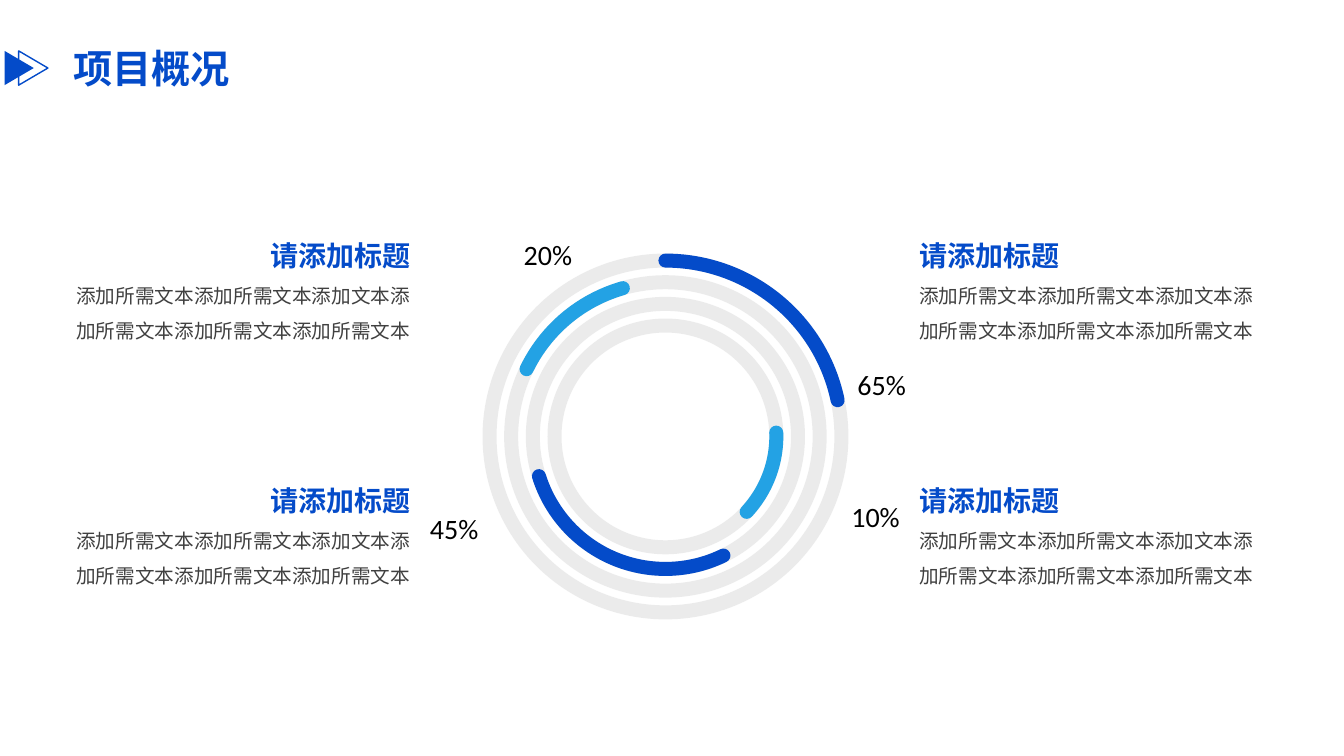
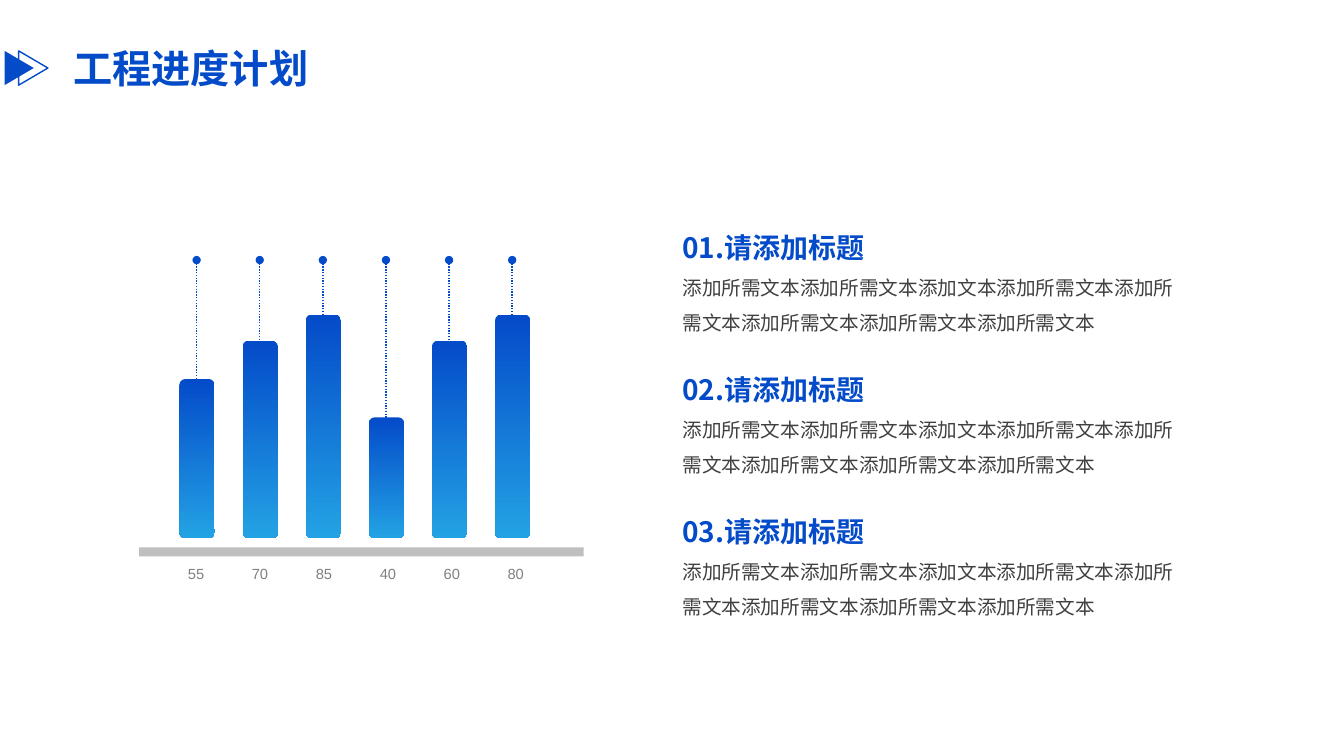
"""Build the project overview and schedule slides."""
from lxml.etree import SubElement
from pptx import Presentation
from pptx.dml.color import RGBColor
from pptx.enum.dml import MSO_LINE
from pptx.enum.shapes import MSO_CONNECTOR, MSO_SHAPE
from pptx.enum.text import MSO_AUTO_SIZE as AUTO, PP_ALIGN as AL
from pptx.oxml.ns import qn
from pptx.util import Inches, Pt

BLUE = RGBColor(0x04, 0x4B, 0xC9)
SKY = RGBColor(0x23, 0xA2, 0xE4)
RING = RGBColor(0xD9, 0xD9, 0xD9)
BASE = RGBColor(0xBF, 0xBF, 0xBF)
BODY = RGBColor(0x40, 0x40, 0x40)
GREY = RGBColor(0x80, 0x80, 0x80)
BLACK = RGBColor(0, 0, 0)

CJK = "Noto Sans CJK SC"
TITLE = {"size": Pt(28), "name": CJK, "bold": True, "color": BLUE}
HEAD = {**TITLE, "size": Pt(20)}
TEXT = {"size": Pt(14), "name": CJK, "bold": False, "color": BODY}
PERCENT = {"size": Pt(20), "name": "Calibri", "color": BLACK}
TICK = {"size": Pt(10.5), "name": "Arial", "color": GREY}

HEADING = "请添加标题"
PHRASE = "添加所需文本"
LEAD = PHRASE * 2 + "添加文本"


def inches(*values):
    return [Inches(v) for v in values]


def set_font(r, fmt):
    for key, value in fmt.items():
        if key == "color":
            r.font.color.rgb = value
        else:
            setattr(r.font, key, value)
    if fmt["name"] == CJK:
        SubElement(r.font._element, qn("a:ea"), typeface=CJK)


def add_text(s, box, paras, align=AL.LEFT, spacing=None, wrap=True, grow=True, margin=None):
    tf = s.shapes.add_textbox(*inches(*box)).text_frame
    tf.word_wrap = wrap
    tf.auto_size = AUTO.SHAPE_TO_FIT_TEXT if grow else AUTO.NONE
    if margin is not None:
        for side in ("left", "top", "right", "bottom"):
            setattr(tf, f"margin_{side}", margin)
    for i, (text, fmt) in enumerate(paras):
        p = tf.add_paragraph() if i else tf.paragraphs[0]
        p.alignment = align
        if spacing:
            p.line_spacing = spacing
        r = p.add_run()
        r.text = text
        set_font(r, fmt)


def add_shape(shapes, kind, box, fill=None, line=None, width=1):
    sp = shapes.add_shape(kind, *inches(*box))
    sp.shadow.inherit = False
    if fill is None:
        sp.fill.background()
    else:
        sp.fill.solid()
        sp.fill.fore_color.rgb = fill
    if line is None:
        sp.line.fill.background()
    else:
        sp.line.color.rgb = line
        sp.line.width = Pt(width)
    return sp


def add_block(s, x, y, w, heading, body, align=AL.LEFT):
    add_text(s, (x, y, w, 1.31), [(heading, HEAD), (body, TEXT)], align, 1.5)


def new_slide(prs, title, width):
    s = prs.slides.add_slide(prs.slide_layouts[6])
    shapes = s.shapes.add_group_shape().shapes
    for x, colors in ((0.02, {"fill": BLUE}), (0.16, {"line": BLUE})):
        add_shape(shapes, MSO_SHAPE.ISOSCELES_TRIANGLE, (x, 0.53, 0.34, 0.29), **colors).rotation = 90
    add_text(s, (0.63, 0.39, width, 0.57), [(title, TITLE)])
    return s


def ring_box(i):
    size = 3.49 - 0.43 * i
    return 6.6 - size / 2, 4.33 - size / 2, size, size


def add_ring(s, i):
    sp = add_shape(s.shapes, MSO_SHAPE.OVAL, ring_box(i), line=RING, width=10)
    color = sp._element.spPr.find(qn("a:ln")).find(".//" + qn("a:srgbClr"))
    SubElement(color, qn("a:alpha"), val="50000")


def add_arc(s, i, start, end, color):
    sp = add_shape(s.shapes, MSO_SHAPE.ARC, ring_box(i), line=color, width=10)
    for n, degrees in enumerate((start, end)):
        sp.adjustments[n] = degrees * 0.6
    sp._element.spPr.find(qn("a:ln")).set("cap", "rnd")


def add_pin(s, x, bottom, top):
    line = s.shapes.add_connector(MSO_CONNECTOR.STRAIGHT, *inches(x, bottom, x, top))
    line.line.color.rgb = BLUE
    line.line.width = Pt(1)
    line.line.dash_style = MSO_LINE.ROUND_DOT
    props = line._element.spPr
    SubElement(props.find(qn("a:ln")), qn("a:tailEnd"), type="oval")
    SubElement(props, qn("a:effectLst"))


def add_bar(s, x, height):
    sp = add_shape(s.shapes, MSO_SHAPE.ROUNDED_RECTANGLE, (x, 5.34 - height, 0.35, height))
    sp.fill.gradient()
    sp.fill.gradient_angle = 270
    for stop, color, position in zip(sp.fill.gradient_stops, (BLUE, SKY), (0, 1)):
        stop.color.rgb = color
        stop.position = position


def overview(prs):
    s = new_slide(prs, "项目概况", 2.11)
    arcs = ((270, 348.1, BLUE), (205.84, 254, SKY), (64.04, 162.55, BLUE), (358.05, 42.89, SKY))
    for i in range(len(arcs)):
        add_ring(s, i)
    for i, arc in enumerate(arcs):
        add_arc(s, i, *arc)
    for text, x, y in (("65%", 8.48, 3.6), ("10%", 8.42, 4.91), ("45%", 4.24, 5.02), ("20%", 5.17, 2.31)):
        add_text(s, (x, y, 0.53, 0.32), [(text, PERCENT)], AL.CENTER, wrap=False, grow=False)
    for x, align in ((9.02, AL.LEFT), (0.63, AL.RIGHT)):
        for y in (2.15, 4.58):
            add_block(s, x, y, 3.54, HEADING, LEAD + PHRASE * 3, align)


def schedule(prs):
    s = new_slide(prs, "工程进度计划", 3.74)
    add_shape(s.shapes, MSO_SHAPE.RECTANGLE, (1.38, 5.43, 4.41, 0.09), BASE)
    bars = ((55, 1.58), (70, 1.96), (85, 2.22), (40, 1.2), (60, 1.96), (80, 2.22))
    for i, (value, height) in enumerate(bars):
        x = 1.78 + 3.13 / 5 * i
        add_pin(s, x + 0.17, 5.33, 2.58)
        add_bar(s, x, height)
        add_text(s, (1.82 + 3.17 / 5 * i, 5.57, 0.25, 0.33), [(str(value), TICK)],
                 AL.CENTER, 1.2, wrap=False, margin=0)
    for i in range(3):
        add_block(s, 6.67, 2.07 + 1.41 * i, 5.19, f"{i + 1:02}.{HEADING}", LEAD + PHRASE * 5)


def main():
    prs = Presentation()
    prs.slide_width, prs.slide_height = inches(13.33, 7.5)
    overview(prs)
    schedule(prs)
    prs.save("out.pptx")


if __name__ == "__main__":
    main()
